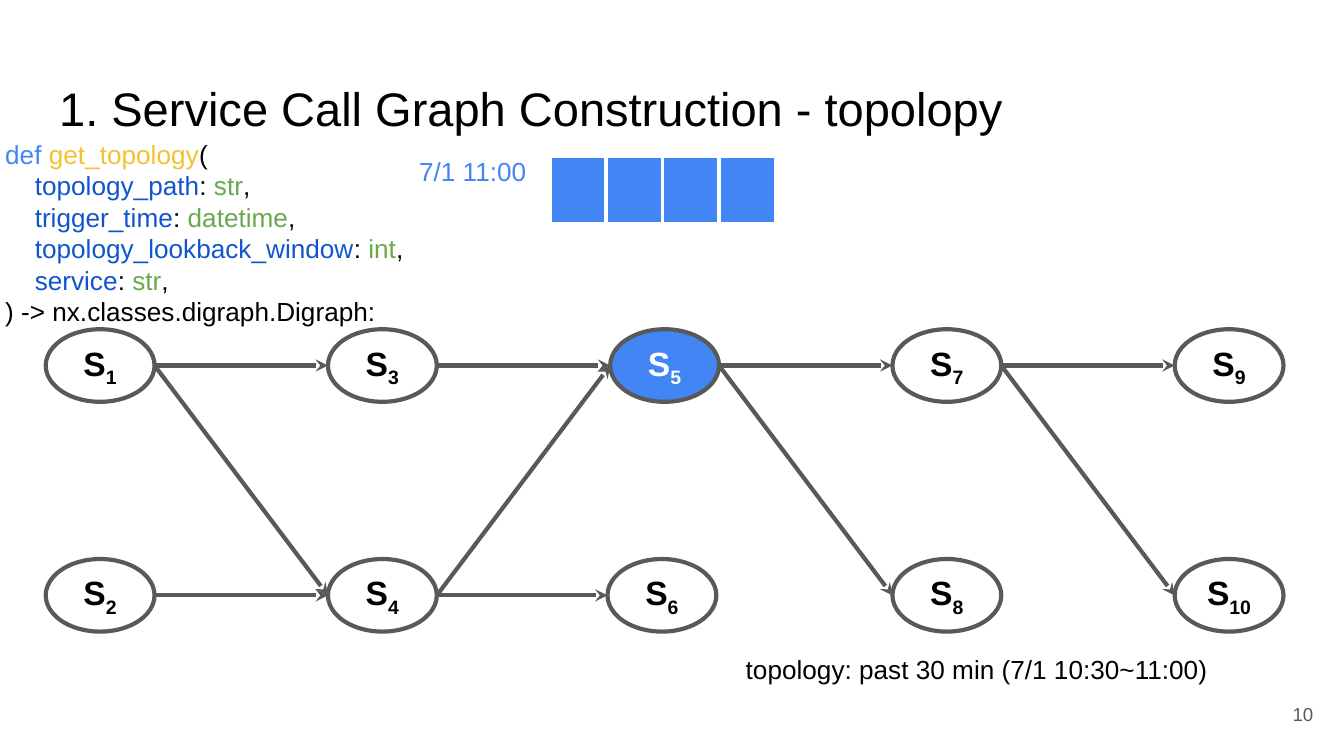
from lxml import etree
from pptx import Presentation
from pptx import util as u
from pptx.dml.color import RGBColor
from pptx.enum import shapes, text
from pptx.oxml.ns import qn

BLACK = RGBColor(0x00, 0x00, 0x00)
WHITE = RGBColor(0xFF, 0xFF, 0xFF)
GREY = RGBColor(0x59, 0x59, 0x59)
BLUE = RGBColor(0x42, 0x85, 0xF4)
NAVY = RGBColor(0x11, 0x55, 0xCC)
GREEN = RGBColor(0x6A, 0xA8, 0x4F)
YELLOW = RGBColor(0xF1, 0xC2, 0x32)

NODE_WIDTH, NODE_HEIGHT = 0.81, 0.54
COLUMN_LEFT, COLUMN_STEP = 0.34, 2.1
ROW_TOPS = (2.45, 4.16)
CALLS = [(1, 3), (3, 5), (5, 7), (7, 9), (2, 4), (4, 6),
         (1, 4), (5, 8), (7, 10), (4, 5)]


class SlideBuilder:
    def __init__(self, slide, font="Arial", line_width=2.25):
        self.slide = slide
        self.font = font
        self.line_width = u.Pt(line_width)

    def style(self, span, size, color, bold=False):
        span.font.name = self.font
        span.font.size = u.Pt(size)
        span.font.bold = bold
        span.font.color.rgb = color

    def set_margins(self, holder):
        holder.margin_left = holder.margin_right = u.Inches(0.1)
        holder.margin_top = holder.margin_bottom = u.Inches(0.1)

    def set_frame(self, frame, wrap=True, anchor=text.MSO_ANCHOR.TOP):
        frame.word_wrap = wrap
        frame.auto_size = text.MSO_AUTO_SIZE.NONE
        frame.vertical_anchor = anchor
        self.set_margins(frame)

    def title(self, words, left, top, width, height, size):
        box = self.slide.shapes.title
        box.left, box.top = u.Inches(left), u.Inches(top)
        box.width, box.height = u.Inches(width), u.Inches(height)
        box.text_frame.text = words
        self.set_frame(box.text_frame)
        para = box.text_frame.paragraphs[0]
        para.alignment = text.PP_ALIGN.LEFT
        self.style(para.runs[0], size, BLACK)

    def text_box(self, lines, left, top, width, height, size=14,
                 align=text.PP_ALIGN.LEFT, anchor=text.MSO_ANCHOR.TOP):
        """Each line is a pair: indent in inches, list of (words, colour)."""
        box = self.slide.shapes.add_textbox(
            u.Inches(left), u.Inches(top), u.Inches(width), u.Inches(height))
        frame = box.text_frame
        self.set_frame(frame, anchor=anchor)
        for index, (indent, spans) in enumerate(lines):
            para = frame.add_paragraph() if index else frame.paragraphs[0]
            para.alignment = align
            para._p.get_or_add_pPr().set("marL", str(u.Inches(indent)))
            for words, color in spans:
                span = para.add_run()
                span.text = words
                self.style(span, size, color)

    def node(self, number, left, top, active=False):
        oval = self.slide.shapes.add_shape(
            shapes.MSO_SHAPE.OVAL, u.Inches(left), u.Inches(top),
            u.Inches(NODE_WIDTH), u.Inches(NODE_HEIGHT))
        oval.shadow.inherit = False
        if active:
            oval.fill.solid()
            oval.fill.fore_color.rgb = BLUE
        else:
            oval.fill.background()
        oval.line.color.rgb = GREY
        oval.line.width = self.line_width
        self.set_frame(oval.text_frame, wrap=False, anchor=text.MSO_ANCHOR.MIDDLE)
        para = oval.text_frame.paragraphs[0]
        para.alignment = text.PP_ALIGN.CENTER
        for words in ("S", str(number)):
            span = para.add_run()
            span.text = words
            self.style(span, 18, WHITE if active else BLACK, bold=True)
        para.runs[1]._r.get_or_add_rPr().set("baseline", "-25000")
        return oval

    def arrow(self, source, target):
        """Runs from the right tip of one node to the left tip of another."""
        line = self.slide.shapes.add_connector(
            shapes.MSO_CONNECTOR.STRAIGHT,
            source.left + source.width, source.top + source.height // 2,
            target.left, target.top + target.height // 2)
        line.line.color.rgb = GREY
        line.line.width = self.line_width
        etree.SubElement(line.line._get_or_add_ln(), qn("a:tailEnd"), type="stealth")
        etree.SubElement(line._element.spPr, qn("a:effectLst"))

    def block_row(self, count, left, top, block_width, height):
        """The row grows beyond its height to hold the cell margins."""
        frame = self.slide.shapes.add_table(
            1, count, u.Inches(left), u.Inches(top),
            u.Inches(block_width * count), u.Inches(height))
        for column in frame.table.columns:
            column.width = u.Inches(block_width)
        for cell in frame.table.iter_cells():
            self.set_margins(cell)
            props = cell._tc.get_or_add_tcPr()
            for side in ("lnL", "lnR", "lnT", "lnB"):
                border = etree.SubElement(props, qn(f"a:{side}"), w=str(self.line_width))
                fill = etree.SubElement(border, qn("a:solidFill"))
                etree.SubElement(fill, qn("a:srgbClr"), val=str(WHITE))
            cell.fill.solid()
            cell.fill.fore_color.rgb = BLUE


def parameter(name, kind):
    return 0.22, [(name, NAVY), (": ", BLACK), (kind, GREEN), (",", BLACK)]


def main():
    deck = Presentation()
    deck.slide_width = u.Inches(10)
    deck.slide_height = deck.slide_width * 9 // 16
    page = SlideBuilder(deck.slides.add_slide(deck.slide_layouts[5]))

    page.title("1. Service Call Graph Construction - topolopy",
               0.34, 0.49, 9.32, 0.63, size=25.2)
    page.text_box([(0, [("10", GREY)])], 9.27, 5.1, 0.6, 0.43, size=10,
                  align=text.PP_ALIGN.RIGHT, anchor=text.MSO_ANCHOR.MIDDLE)

    nodes = {}
    for number in range(1, 11):
        column, row = divmod(number - 1, 2)
        left = COLUMN_LEFT + column * COLUMN_STEP
        if number == 6:
            left -= 0.02
        nodes[number] = page.node(number, left, ROW_TOPS[row], active=number == 5)
    for source, target in CALLS:
        page.arrow(nodes[source], nodes[target])

    page.block_row(4, 4.09, 1.16, block_width=0.42, height=0.11)
    page.text_box([(0, [("7/1 11:00", BLUE)])], 3.02, 1.06, 1.04, 0.44)
    page.text_box([(0, [("topology: past 30 min (7/1 10:30~11:00)", BLACK)])],
                  5.45, 4.76, 4.05, 0.44)
    page.text_box([
        (0, [("def ", BLUE), ("get_topology", YELLOW), ("(", BLACK)]),
        parameter("topology_path", "str"),
        parameter("trigger_time", "datetime"),
        parameter("topology_lookback_window", "int"),
        parameter("service", "str"),
        (0, [(") -> nx.classes.digraph.Digraph:", BLACK)]),
    ], -0.06, 0.93, 3.69, 1.62)

    deck.save("out.pptx")


if __name__ == "__main__":
    main()
